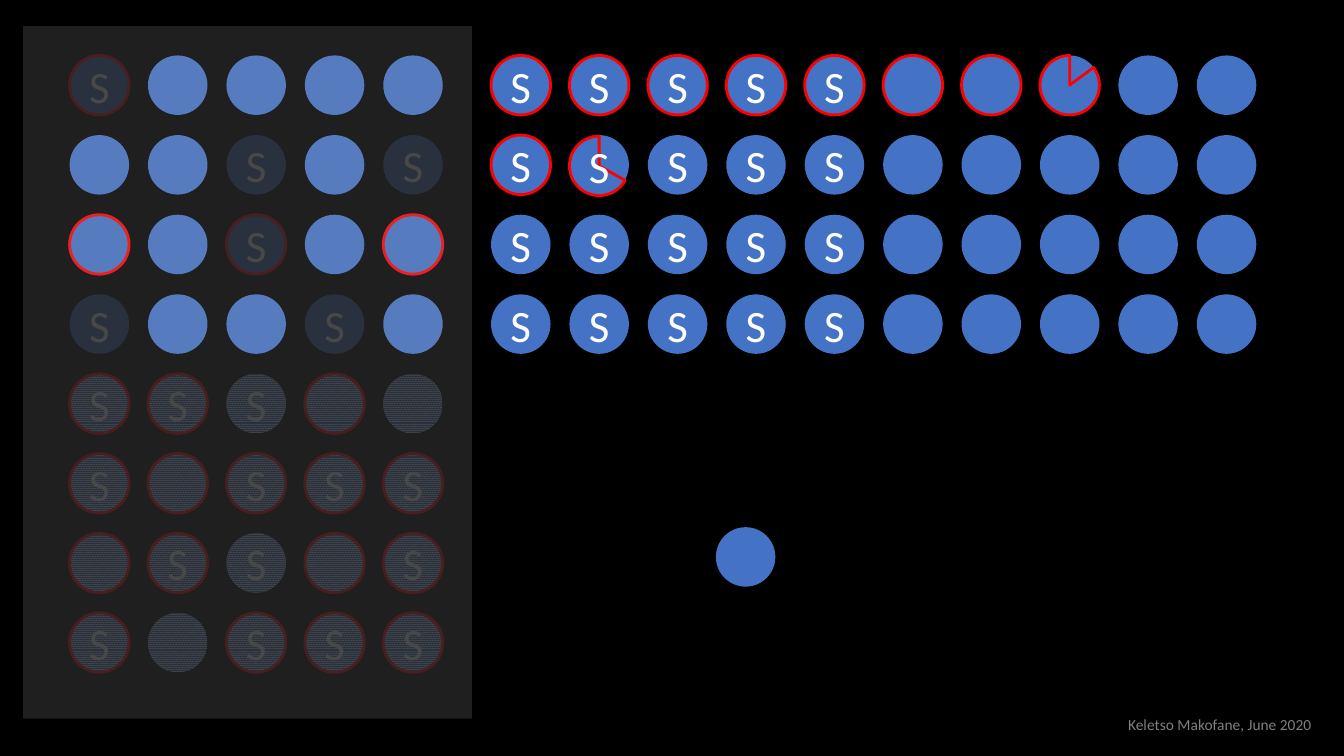
import pptx
import pptx.dml.color
import pptx.enum.dml
import pptx.enum.shapes
import pptx.enum.text
import pptx.util
from lxml import etree
from pptx.oxml.ns import qn
from pptx.util import Inches

COLORS = {
    "black": "000000",
    "blue": "4472C4",
    "red": "FF0000",
    "white": "FFFFFF",
    "panel": "A5A5A5",
    "credit": "808080",
}
SHAPES = pptx.enum.shapes.MSO_SHAPE
ALIGN = pptx.enum.text.PP_ALIGN
DIAMETER = 0.59
COLUMN_STEP = 7 / 9
ROW_STEP = 0.79
TOP = 0.55
LEFT_GROUP = 0.69
RIGHT_GROUP = 4.87

# "S" marks an outlined letter, "s" a letter, "O" an outlined circle, "o" a circle.
RIGHT_ROWS = ["SSSSSOOooo", "Sosssooooo", "sssssooooo", "sssssooooo"]
VEILED_ROWS = ["S....", "..s.s", "..S..", "s..s."]
PATTERNED_ROWS = ["SSsOo", "SOSSS", "OSsOS", "SoSSS"]
CLEAR_ROWS = [".oooo", "oo.o.", "Oo.oO", ".oo.o"]


def color(name):
    return pptx.dml.color.RGBColor.from_string(COLORS[name])


def write_text(frame, text, size, tint, align=ALIGN.LEFT):
    para = frame.paragraphs[0]
    para.alignment = align
    span = para.add_run()
    span.text = text
    span.font.name = "Calibri"
    span.font.size = pptx.util.Pt(size)
    span.font.color.rgb = color(tint)


def add_filled(page, kind, left, top, width, height, tint, outlined=False):
    shape = page.shapes.add_shape(
        kind, Inches(left), Inches(top), Inches(width), Inches(height)
    )
    shape.shadow.inherit = False
    shape.fill.solid()
    shape.fill.fore_color.rgb = color(tint)
    if outlined:
        shape.line.color.rgb = color("red")
        shape.line.width = pptx.util.Pt(2)
    else:
        shape.line.fill.background()
    return shape


def add_person(page, left, top, mark, kind=SHAPES.OVAL, patterned=False):
    person = add_filled(
        page, kind, left, top, DIAMETER, DIAMETER, "blue", mark.isupper()
    )
    if patterned:
        person.fill.patterned()
        person.fill.pattern = pptx.enum.dml.MSO_PATTERN.PERCENT_90
        person.fill.fore_color.rgb = color("blue")
        person.fill.back_color.rgb = color("white")
    if mark.upper() == "S":
        person.text_frame.vertical_anchor = pptx.enum.text.MSO_ANCHOR.MIDDLE
        write_text(person.text_frame, "S", size=32, tint="white", align=ALIGN.CENTER)
    return person


def add_people(page, rows, left, first_row=0, patterned=False):
    for row, marks in enumerate(rows, first_row):
        for column, mark in enumerate(marks):
            if mark != ".":
                add_person(
                    page,
                    left + column * COLUMN_STEP,
                    TOP + row * ROW_STEP,
                    mark,
                    patterned=patterned,
                )


def add_partial(page, column, top, mark, start):
    left = RIGHT_GROUP + column * COLUMN_STEP
    pie = add_person(page, left, top, mark, kind=SHAPES.PIE)
    pie.adjustments[0] = start
    pie.adjustments[1] = 162


def add_veil(page, left, top, width, height, tint, opacity):
    veil = add_filled(page, SHAPES.RECTANGLE, left, top, width, height, tint)
    swatch = veil.fill._xPr.find(qn("a:solidFill"))[0]
    etree.SubElement(swatch, qn("a:alpha")).set("val", str(opacity * 1000))


def add_credit(page):
    box = page.shapes.add_textbox(
        Inches(11.09), Inches(7.04), Inches(2.04), Inches(0.29)
    )
    box.text_frame.word_wrap = False
    box.text_frame.auto_size = pptx.enum.text.MSO_AUTO_SIZE.SHAPE_TO_FIT_TEXT
    write_text(box.text_frame, "Keletso Makofane, June 2020", size=11, tint="credit")


def main():
    deck = pptx.Presentation()
    deck.slide_width = Inches(13.33)
    deck.slide_height = Inches(7.5)
    page = deck.slides.add_slide(deck.slide_layouts[6])
    page.background.fill.solid()
    page.background.fill.fore_color.rgb = color("black")

    add_people(page, RIGHT_ROWS, RIGHT_GROUP)
    add_partial(page, 1, 1.35, "S", 17.679)
    add_person(page, 7.1, 5.23, "o")
    add_people(page, VEILED_ROWS, LEFT_GROUP)
    add_people(page, PATTERNED_ROWS, LEFT_GROUP, first_row=4, patterned=True)
    add_partial(page, 7, TOP, "O", 194.005)
    add_veil(page, 0.23, 0.09, 4.52, 6.83, "black", 80)
    add_people(page, CLEAR_ROWS, LEFT_GROUP)
    add_veil(page, 0.23, 0.26, 4.45, 6.87, "panel", 19)
    add_credit(page)
    deck.save("out.pptx")


if __name__ == "__main__":
    main()
